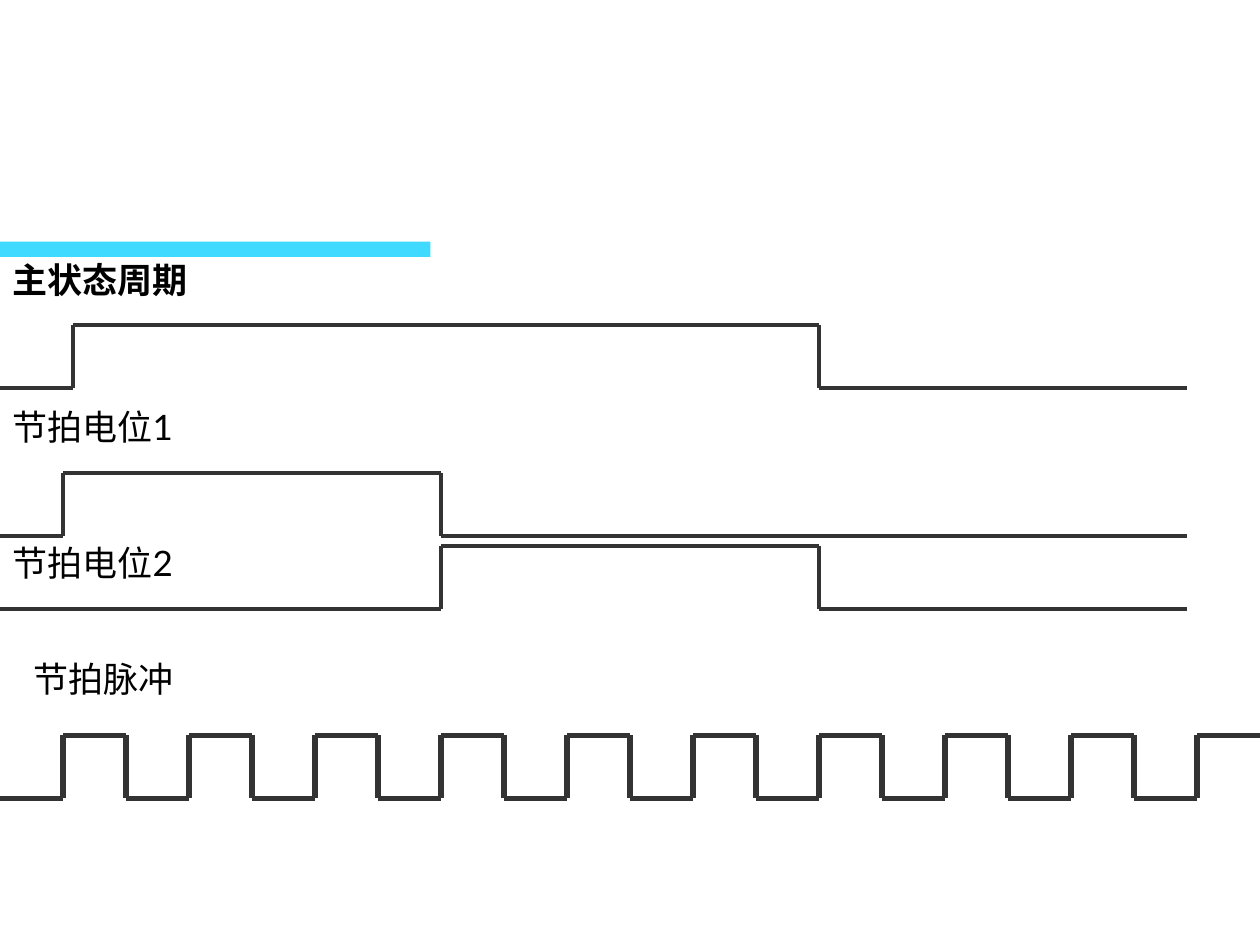
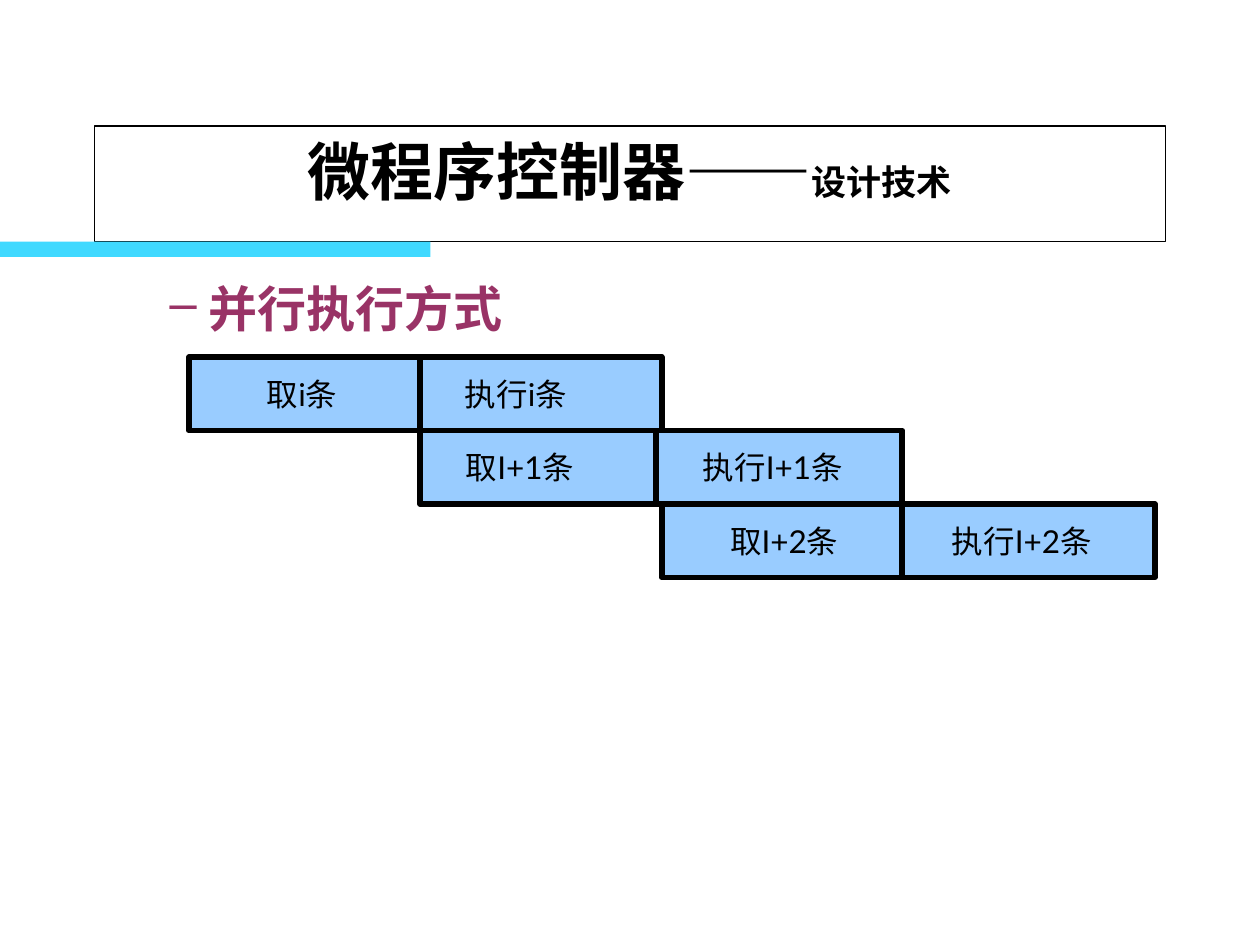
from itertools import pairwise

from lxml.etree import SubElement
from pptx import Presentation
from pptx.dml.color import RGBColor as Rgb
from pptx.enum.shapes import MSO_CONNECTOR as Link, MSO_SHAPE as Kind
from pptx.enum.text import MSO_ANCHOR as Anchor, MSO_AUTO_SIZE as Fit, PP_ALIGN as Align
from pptx.oxml.ns import qn
from pptx.util import Cm, Pt

HUES = {"ink": "000000", "paper": "FFFFFF", "band": "40D9FF",
        "wave": "333333", "point": "993366", "stage": "99CCFF"}
HUES = {name: Rgb.from_string(code) for name, code in HUES.items()}
SANS, SERIF = "Lato", "Times New Roman"


def write(frame, text, size=20, font=SANS, hue="ink", bold=False, align=Align.LEFT):
    """Append a run to the last paragraph of the frame and return that paragraph."""
    para = frame.paragraphs[-1]
    para.alignment = align
    run = para.add_run()
    run.text = text
    run.font.size, run.font.name, run.font.bold = Pt(size), font, bold
    run.font.color.rgb = HUES[hue]
    return para


def rule(slide, start, end, hue, weight):
    """Draw a straight line between two points given in centimetres."""
    link = slide.shapes.add_connector(
        Link.STRAIGHT, *(Cm(n) for n in (*start, *end)))
    link.line.color.rgb, link.line.width = HUES[hue], Pt(weight)
    SubElement(link._element.spPr, qn("a:effectLst"))


deck = Presentation()
deck.slide_width, deck.slide_height = Cm(25.4), Cm(19.05)
timing = deck.slides.add_slide(deck.slide_layouts[6])
design = deck.slides.add_slide(deck.slide_layouts[5])

for slide in (timing, design):
    band = slide.shapes.add_shape(Kind.RECTANGLE, 0, Cm(4.87), Cm(8.68), Cm(0.31))
    band.shadow.inherit = False
    band.fill.solid()
    band.fill.fore_color.rgb = HUES["band"]
    band.line.fill.background()

# Timing diagram: each wave starts low and flips at every edge
STEP = 1.27
FAR = 23.92
pulses = [STEP * n for n in range(1, 20)]
waves = [
    (pulses, 14.82, 25.4, 3),
    ([1.27, 8.89], 9.53, FAR, 2.25),
    ([1.48, 16.51], 6.56, FAR, 2.25),
    ([8.89, 16.51], 11.0, FAR, 2.25),
]
for edges, high, end, weight in waves:
    low = high + STEP
    spots = [(0, low)]
    for n, edge in enumerate(edges):
        pair = (high, low) if n % 2 else (low, high)
        spots += [(edge, y) for y in pair]
    spots.append((end, spots[-1][1]))
    for start, stop in pairwise(spots):
        rule(timing, start, stop, "wave", weight)

labels = [
    ("主状态周期", 0, 5.08, True),
    ("节拍电位1", 0, 8.05, False),
    ("节拍电位2", 0, 10.8, False),
    ("节拍脉冲", 0.43, 13.13, False),
]
for text, left, top, bold in labels:
    box = timing.shapes.add_textbox(Cm(left), Cm(top), Cm(5.28), Cm(1.12))
    box.text_frame.word_wrap = True
    write(box.text_frame, text, bold=bold)

# Parallel execution
title = design.shapes.title
title.left, title.top, title.width, title.height = Cm(1.9), Cm(2.54), Cm(21.6), Cm(2.33)
title.fill.solid()
title.fill.fore_color.rgb = HUES["paper"]
title.line.color.rgb, title.line.width = HUES["ink"], Pt(0.75)
head = title.text_frame
head.auto_size, head.vertical_anchor = Fit.NONE, Anchor.TOP
for text, size in (("微程序控制器——", 36), ("设计技术", 20)):
    write(head, text, size=size, font=SERIF, bold=True, align=Align.CENTER)

body = design.shapes.add_textbox(Cm(1.9), Cm(5.5), Cm(21.6), Cm(11.43))
body.text_frame.word_wrap = True
point = write(body.text_frame, "并行执行方式", size=28, font=SERIF, hue="point", bold=True)
props = point._p.get_or_add_pPr()
props.set("marL", str(Cm(2.06)))
props.set("indent", str(-Cm(0.79)))
SubElement(SubElement(props, qn("a:buClr")), qn("a:srgbClr"), val=str(HUES["point"]))
SubElement(props, qn("a:buChar"), char="–")

TALL = 1.48
# step, left, split, right, inset of the first text, tab to the second
stages = [
    ("i", 3.81, 8.47, 13.34, 1.57, 3.99),
    ("I+1", 8.47, 13.23, 18.19, 0.92, 4.78),
    ("I+2", 13.34, 18.19, 23.28, 1.38, 4.47),
]
for row, (step, left, split, right, inset, tab) in enumerate(stages):
    top = 7.2 + row * TALL
    bar = design.shapes.add_shape(
        Kind.FLOWCHART_PROCESS, Cm(left), Cm(top), Cm(right - left), Cm(TALL))
    bar.shadow.inherit = False
    bar.fill.solid()
    bar.fill.fore_color.rgb = HUES["stage"]
    bar.line.color.rgb, bar.line.width = HUES["ink"], Pt(3.25)
    frame = bar.text_frame
    frame.word_wrap, frame.vertical_anchor = True, Anchor.MIDDLE
    frame.margin_left, frame.margin_right = Cm(inset), 0
    para = write(frame, f"取{step}条\t执行{step}条", size=18)
    tabs = SubElement(para._p.get_or_add_pPr(), qn("a:tabLst"))
    SubElement(tabs, qn("a:tab"), pos=str(Cm(tab)), algn="l")
    rule(design, (split, top), (split, top + TALL), "ink", 3.25)

deck.save("out.pptx")
